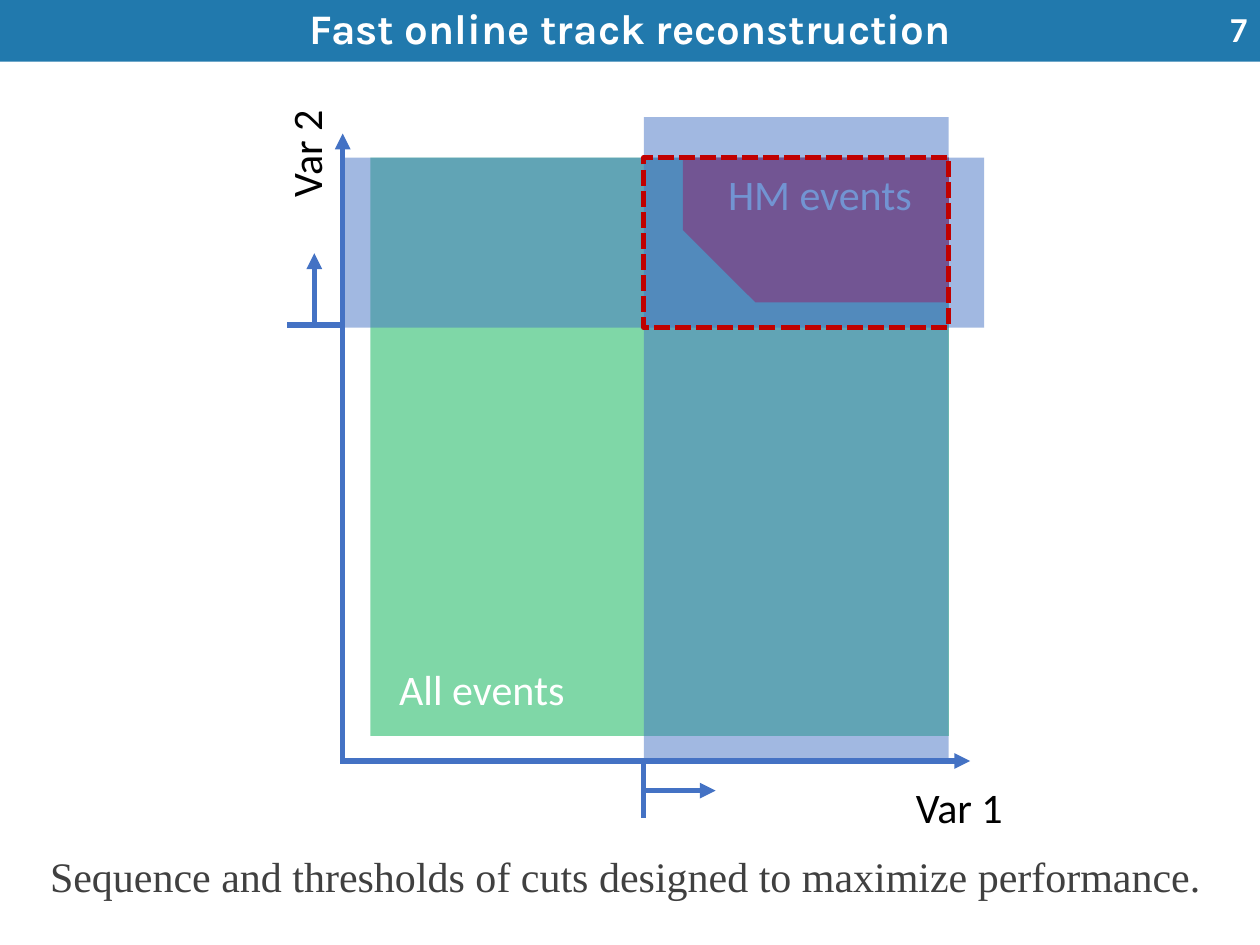
from dataclasses import dataclass
from typing import Optional

import pptx
import pptx.dml.color
import pptx.enum.dml
import pptx.enum.shapes
import pptx.enum.text
import pptx.oxml
import pptx.oxml.ns
import pptx.util

RGB = pptx.dml.color.RGBColor
SHAPE = pptx.enum.shapes.MSO_SHAPE
ALIGN = pptx.enum.text.PP_ALIGN
ANCHOR = pptx.enum.text.MSO_ANCHOR

WHITE = RGB(0xFF, 0xFF, 0xFF)
BLACK = RGB(0x00, 0x00, 0x00)
GREY = RGB(0x40, 0x40, 0x40)
BANNER = RGB(0x21, 0x79, 0xAD)
BLUE = RGB(0x44, 0x72, 0xC4)
GREEN = RGB(0x00, 0xB0, 0x50)
RED = RGB(0xFF, 0x00, 0x00)
DARK_RED = RGB(0xC0, 0x00, 0x00)

# Grid of square cells: 100 columns by 75 rows
COLUMNS, ROWS = 100, 75
CELL = pptx.util.Inches(10) // COLUMNS
LINE_WIDTH = pptx.util.Pt(3)

AXIS_X, AXIS_Y = 27.2, 60.4            # where the two axes cross
AXIS_LENGTH = 50
OVERHANG = 0.2                         # axes overlap at the corner
BASE = AXIS_Y + OVERHANG
EVENTS_LEFT, TOP, EVENTS_SIDE = 29.4, 12.5, 45.9
RIGHT = EVENTS_LEFT + EVENTS_SIDE
CUT_X, CUT_Y = 51.1, 26                # thresholds on Var 1 and Var 2
HM_LEFT, HM_HEIGHT = 54.2, 11.5
TICK, ARROW = 4.3, 5.7
TICK_Y = CUT_Y - OVERHANG


@dataclass
class Block:
    left: float
    top: float
    width: float
    height: float
    fill: Optional[RGB] = None
    alpha: int = 100
    outline: Optional[RGB] = None
    kind: SHAPE = SHAPE.RECTANGLE
    rotation: int = 0


@dataclass
class Label:
    text: str
    left: float
    top: float
    width: float
    height: float = 5
    color: RGB = BLACK
    font: str = "Calibri"
    size: int = 24
    bold: bool = False
    align: ALIGN = ALIGN.LEFT
    anchor: ANCHOR = ANCHOR.TOP
    rotation: int = 0
    spacing: float = 1.0


@dataclass
class Line:
    x1: float
    y1: float
    x2: float
    y2: float
    arrow: bool = True


ITEMS = [
    Block(0, 0, COLUMNS, 4.9, BANNER),
    Label("Fast online track reconstruction", 0, 0, COLUMNS, 4.9, WHITE, "Karla",
          bold=True, align=ALIGN.CENTER, anchor=ANCHOR.MIDDLE, spacing=0.9),
    Label("7", 95.1, 0.3, 4.9, 4, WHITE, size=20, bold=True,
          align=ALIGN.RIGHT, anchor=ANCHOR.MIDDLE),
    Label("Sequence and thresholds of cuts designed to maximize performance.",
          2.3, 67, 94.7, 5.2, GREY, "Times New Roman", align=ALIGN.CENTER),
    Line(AXIS_X - OVERHANG, AXIS_Y, AXIS_X - OVERHANG + AXIS_LENGTH, AXIS_Y),
    Line(AXIS_X, BASE, AXIS_X, BASE - AXIS_LENGTH),
    Block(EVENTS_LEFT, TOP, EVENTS_SIDE, EVENTS_SIDE, GREEN, 50),
    Label("Var 1", 71.7, 61.5, 10.7),
    Label("Var 2", 18.9, 8.8, 10.7, rotation=270),
    Label("All events", 30.7, 52.2, 21.3, color=WHITE),
    Block(HM_LEFT, TOP, RIGHT - HM_LEFT, HM_HEIGHT, RED,
          kind=SHAPE.SNIP_1_RECTANGLE, rotation=180),
    Label("HM events", 56.8, 12.9, 21.3, color=WHITE),
    Block(AXIS_X, TOP, 50.9, CUT_Y - TOP, BLUE, 50),
    Block(CUT_X, 9.3, RIGHT - CUT_X, BASE - 9.3, BLUE, 50),
    Block(CUT_X, TOP, RIGHT - CUT_X, CUT_Y - TOP, outline=DARK_RED),
    Line(CUT_X, BASE, CUT_X, BASE + TICK, arrow=False),
    Line(CUT_X, BASE + TICK / 2, CUT_X + ARROW, BASE + TICK / 2),
    Line(AXIS_X - 0.1 - TICK, TICK_Y, AXIS_X - 0.1, TICK_Y, arrow=False),
    Line(AXIS_X - 0.1 - TICK / 2, TICK_Y, AXIS_X - 0.1 - TICK / 2, TICK_Y - ARROW),
]


def cells(*counts: float) -> list[int]:
    return [round(n * CELL) for n in counts]


def set_all(target, values: dict) -> None:
    for name, value in values.items():
        setattr(target, name, value)


def add_block(s, b: Block) -> None:
    sp = s.shapes.add_shape(b.kind, *cells(b.left, b.top, b.width, b.height))
    sp.shadow.inherit = False
    sp.rotation = b.rotation
    if b.kind == SHAPE.SNIP_1_RECTANGLE:
        sp.adjustments[0] = 0.5
    if b.fill is None:
        sp.fill.background()
    else:
        sp.fill.solid()
        sp.fill.fore_color.rgb = b.fill
    if b.alpha < 100:
        color = sp.fill._xPr.find(".//" + pptx.oxml.ns.qn("a:srgbClr"))
        pptx.oxml.ns.qn("a:alpha")
        color.append(color.makeelement(pptx.oxml.ns.qn("a:alpha"),
                                       {"val": str(b.alpha * 1000)}))
    if b.outline is None:
        sp.line.fill.background()
    else:
        sp.line.color.rgb = b.outline
        set_all(sp.line, {"width": LINE_WIDTH,
                          "dash_style": pptx.enum.dml.MSO_LINE.SQUARE_DOT})


def add_label(s, t: Label) -> None:
    sp = s.shapes.add_textbox(*cells(t.left, t.top, t.width, t.height))
    sp.rotation = t.rotation
    tf = sp.text_frame
    set_all(tf, {"word_wrap": True, "vertical_anchor": t.anchor})
    p = tf.paragraphs[0]
    set_all(p, {"alignment": t.align, "line_spacing": t.spacing})
    r = p.add_run()
    r.text = t.text
    set_all(r.font, {"name": t.font, "size": pptx.util.Pt(t.size), "bold": t.bold})
    r.font.color.rgb = t.color


def add_line(s, n: Line) -> None:
    sp = s.shapes.add_connector(pptx.enum.shapes.MSO_CONNECTOR.STRAIGHT,
                                *cells(n.x1, n.y1, n.x2, n.y2))
    sp.line.color.rgb = BLUE
    sp.line.width = LINE_WIDTH
    qn = pptx.oxml.ns.qn
    if n.arrow:
        ln = sp.line._get_or_add_ln()
        ln.append(ln.makeelement(qn("a:tailEnd"), {"type": "triangle"}))
    props = sp._element.spPr
    props.append(props.makeelement(qn("a:effectLst"), {}))


def main() -> None:
    prs = pptx.Presentation()
    set_all(prs, {"slide_width": COLUMNS * CELL, "slide_height": ROWS * CELL})
    s = prs.slides.add_slide(prs.slide_layouts[6])
    draw = {Block: add_block, Label: add_label, Line: add_line}
    for item in ITEMS:
        draw[type(item)](s, item)
    prs.save("out.pptx")


if __name__ == "__main__":
    main()
